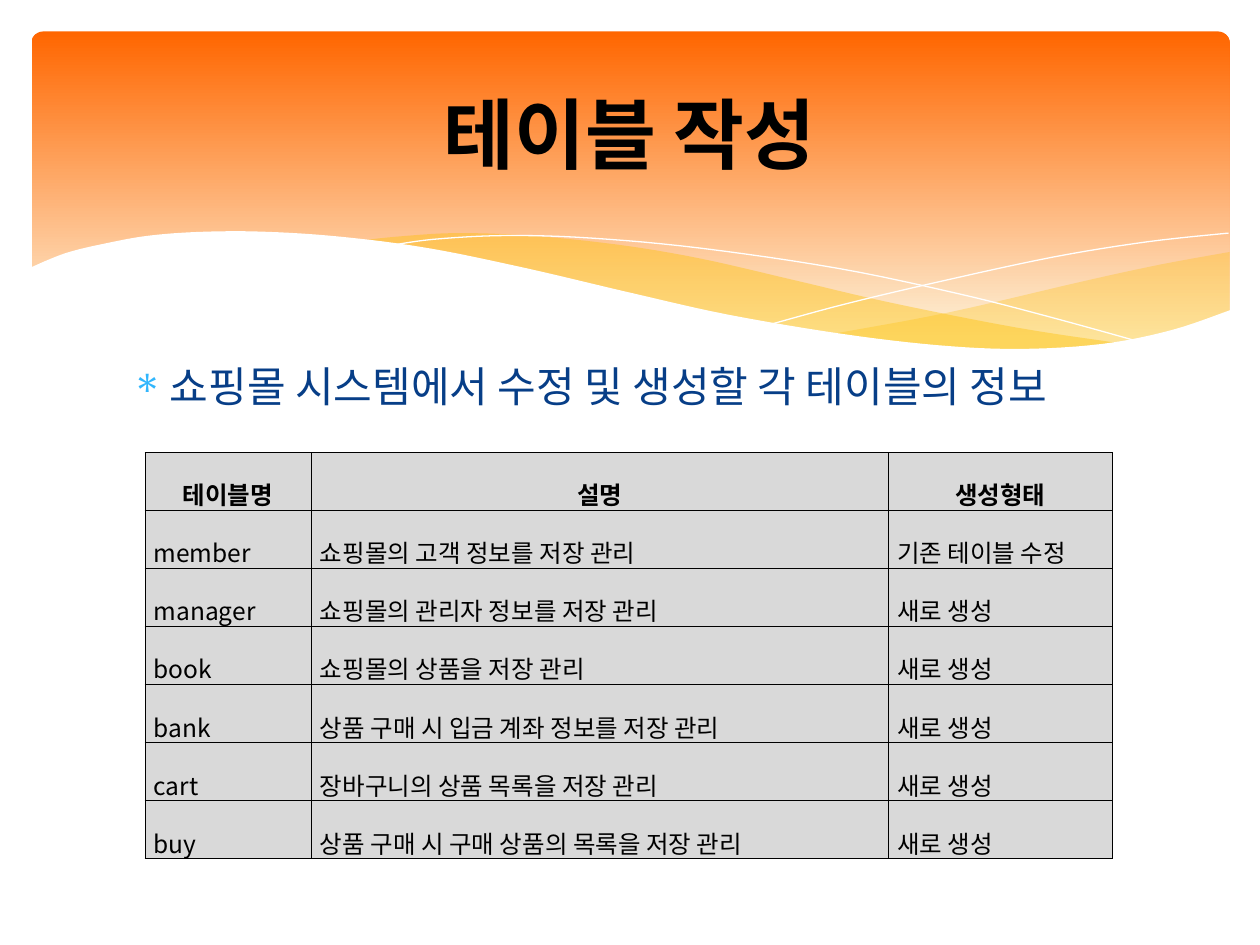
from lxml import etree
from pptx import Presentation
from pptx import util as u
from pptx.dml.color import RGBColor
from pptx.enum import shapes, text
from pptx.oxml import ns

# The slide is a grid of 100 columns by 75 rows of square units.
WIDE, HIGH = u.Inches(10), u.Inches(7.5)
UNIT = WIDE // 100

ORANGE = RGBColor(0xFF, 0x66, 0x00)
CREAM = RGBColor(0xFD, 0xF2, 0xD9)
GOLD = RGBColor(0xFF, 0xC0, 0x00)
WHITE = RGBColor(0xFF, 0xFF, 0xFF)
BLACK = RGBColor(0x00, 0x00, 0x00)
NAVY = RGBColor(0x07, 0x3E, 0x87)
SKY = RGBColor(0x31, 0xB6, 0xFD)
GREY = RGBColor(0xD9, 0xD9, 0xD9)

HEAD_FONT, CELL_FONT = "Cabin", "Noto Sans CJK KR"

# Wave edges, as (column, row) knots
RIGHT_TOP = [(97.6, 20), (92.1, 21), (86.1, 22.3), (75.3, 24.8), (66.1, 26.5)]
RIGHT_LOW = [(66.1, 26.5), (71.9, 27.2), (76.9, 27.7), (81.4, 27.8),
             (86.3, 27.5), (91.3, 26.7), (94.9, 25.7), (97.6, 24.7)]
LEFT_TOP = [(89.3, 27.3), (80.7, 26), (70.6, 24), (62.9, 22.2), (55.5, 20.5),
            (48.9, 19.4), (42, 18.7), (36.1, 18.5), (31.3, 18.8), (28.6, 19.1)]
LEFT_LOW = [(28.6, 19.1), (36.2, 20.3), (44.9, 22.2), (56.6, 24.8),
            (65, 26.4), (72.2, 27.4), (78.5, 27.8), (84.8, 27.7), (89.3, 27.3)]
FALL = [(30.9, 19.5), (34.4, 19), (40.1, 18.7), (46.9, 18.9), (55.6, 19.7),
        (66.5, 21.3), (76, 23.3), (83.1, 25.1), (90.7, 27.2)]
RISE = [(61.3, 25.7), (67.2, 24.1), (74.8, 22.3), (83.6, 20.4),
        (91, 19.2), (97.5, 18.5)]
PAGE = [(97.7, 24.6), (93, 26.2), (87.5, 27.3), (80.9, 27.7), (74.4, 27.4),
        (66.8, 26.5), (57.9, 25), (50.3, 23.3), (41.8, 21.3), (34, 19.7),
        (27.1, 18.8), (21.1, 18.4), (16.1, 18.4), (11.9, 18.7), (8.5, 19.3),
        (5.2, 20.1), (2.3, 21.3)]

COLS = (13.2, 45.8, 17.8)
ROW = 4.61
NEW = "새로 생성"
ROWS = [
    ("테이블명", "설명", "생성형태"),
    ("member", "쇼핑몰의 고객 정보를 저장 관리", "기존 테이블 수정"),
    ("manager", "쇼핑몰의 관리자 정보를 저장 관리", NEW),
    ("book", "쇼핑몰의 상품을 저장 관리", NEW),
    ("bank", "상품 구매 시 입금 계좌 정보를 저장 관리", NEW),
    ("cart", "장바구니의 상품 목록을 저장 관리", NEW),
    ("buy", "상품 구매 시 구매 상품의 목록을 저장 관리", NEW),
]


def grid(*units):
    return [u.Emu(round(n * UNIT)) for n in units]


def node(root, tag, **attrs):
    return etree.SubElement(root, ns.qn(tag), attrs)


def tint(root, color):
    fill = node(root, "a:solidFill")
    return node(fill, "a:srgbClr", val=str(color))


def bend(knots, steps=6):
    """Points of a smooth Catmull-Rom curve through the knots."""
    ends = [knots[0], *knots, knots[-1]]
    curve = [knots[0]]
    for a, b, c, d in zip(ends, ends[1:], ends[2:], ends[3:]):
        for i in range(1, steps + 1):
            t = i / steps
            curve.append(tuple(
                (2 * q + (r - p) * t + (2 * p - 5 * q + 4 * r - s) * t ** 2
                 + (3 * q - p - 3 * r + s) * t ** 3) / 2
                for p, q, r, s in zip(a, b, c, d)))
    return curve


def outline(slide, points, close):
    spots = [grid(*point) for point in points]
    pen = slide.shapes.build_freeform(*spots[0])
    pen.add_line_segments(spots[1:], close=close)
    shape = pen.convert_to_shape()
    shape.shadow.inherit = False
    return shape


def area(slide, points, color, alpha=100):
    shape = outline(slide, points, True)
    shape.line.fill.background()
    shape.fill.solid()
    shape.fill.fore_color.rgb = color
    if alpha < 100:
        mark = shape.fill._xPr.find(".//" + ns.qn("a:srgbClr"))
        node(mark, "a:alpha", val=str(alpha * 1000))


def thread(slide, knots):
    shape = outline(slide, bend(knots), False)
    shape.fill.background()
    shape.line.color.rgb = WHITE
    shape.line.width = u.Pt(0)


def banner(slide):
    box = slide.shapes.add_shape(shapes.MSO_SHAPE.ROUNDED_RECTANGLE,
                                 *grid(2.5, 2.5, 95.1, 27))
    box.adjustments[0] = 0.034
    box.shadow.inherit = False
    box.line.fill.background()
    box.fill.gradient()
    box.fill.gradient_angle = 270
    for stop, color, place in zip(box.fill.gradient_stops,
                                  (ORANGE, CREAM), (0, 0.9)):
        stop.color.rgb = color
        stop.position = place


def style(para, name, size, color, bold=False):
    font = para.font
    font.name, font.size, font.bold = name, u.Pt(size), bold
    font.color.rgb = color


def words(slide, place, line):
    frame = slide.shapes.add_textbox(*grid(*place)).text_frame
    frame.word_wrap = True
    para = frame.paragraphs[0]
    para.text = line
    return frame, para


def title(slide, line):
    frame, para = words(slide, (5, 3.7, 90, 13.7), line)
    frame.vertical_anchor = text.MSO_ANCHOR.MIDDLE
    para.alignment = text.PP_ALIGN.CENTER
    style(para, HEAD_FONT, 44, BLACK, True)


def bullet(slide, line):
    _, para = words(slide, (9.5, 28.1, 81, 37.7), line)
    props = para._p.get_or_add_pPr()
    dent = grid(3)[0]
    props.set("marL", str(dent))
    props.set("indent", str(-dent))
    node(node(props, "a:buClr"), "a:srgbClr", val=str(SKY))
    node(props, "a:buChar", char="∗")
    para.space_before = u.Pt(4.8)
    style(para, HEAD_FONT, 24, NAVY)


def fill_cell(cell, line, head):
    cell.text = line
    cell.vertical_anchor = text.MSO_ANCHOR.MIDDLE
    cell.margin_left = cell.margin_right = u.Inches(0.07)
    cell.margin_top = cell.margin_bottom = u.Inches(0.02)
    para = cell.text_frame.paragraphs[0]
    para.alignment = (text.PP_ALIGN.CENTER if head
                      else text.PP_ALIGN.JUSTIFY)
    para.line_spacing = 1.6
    style(para, CELL_FONT, 14, BLACK, head)
    props = cell._tc.get_or_add_tcPr()
    for side in "LRTB":
        tint(node(props, f"a:ln{side}", w=str(u.Pt(0.28))), BLACK)
    cell.fill.solid()
    cell.fill.fore_color.rgb = GREY


def table(slide):
    place = grid(11.5, 35.9, sum(COLS), ROW * len(ROWS))
    tab = slide.shapes.add_table(len(ROWS), len(COLS), *place).table
    tab.first_row = tab.horz_banding = False
    for col, width in zip(tab.columns, grid(*COLS)):
        col.width = width
    for r, line in enumerate(ROWS):
        tab.rows[r].height = grid(ROW)[0]
        for c, word in enumerate(line):
            fill_cell(tab.cell(r, c), word, r == 0)


def main():
    deck = Presentation()
    deck.slide_width, deck.slide_height = WIDE, HIGH
    slide = deck.slides.add_slide(deck.slide_layouts[6])
    banner(slide)
    area(slide, bend(RIGHT_TOP) + bend(RIGHT_LOW), GOLD, 29)
    area(slide, bend(LEFT_TOP) + bend(LEFT_LOW), GOLD, 40)
    thread(slide, FALL)
    thread(slide, RISE)
    area(slide, bend(PAGE) + [(2.3, 32.9), (97.7, 32.9)], WHITE)
    bullet(slide, "쇼핑몰 시스템에서 수정 및 생성할 각 테이블의 정보")
    title(slide, "테이블 작성")
    table(slide)
    deck.save("out.pptx")


if __name__ == "__main__":
    main()
